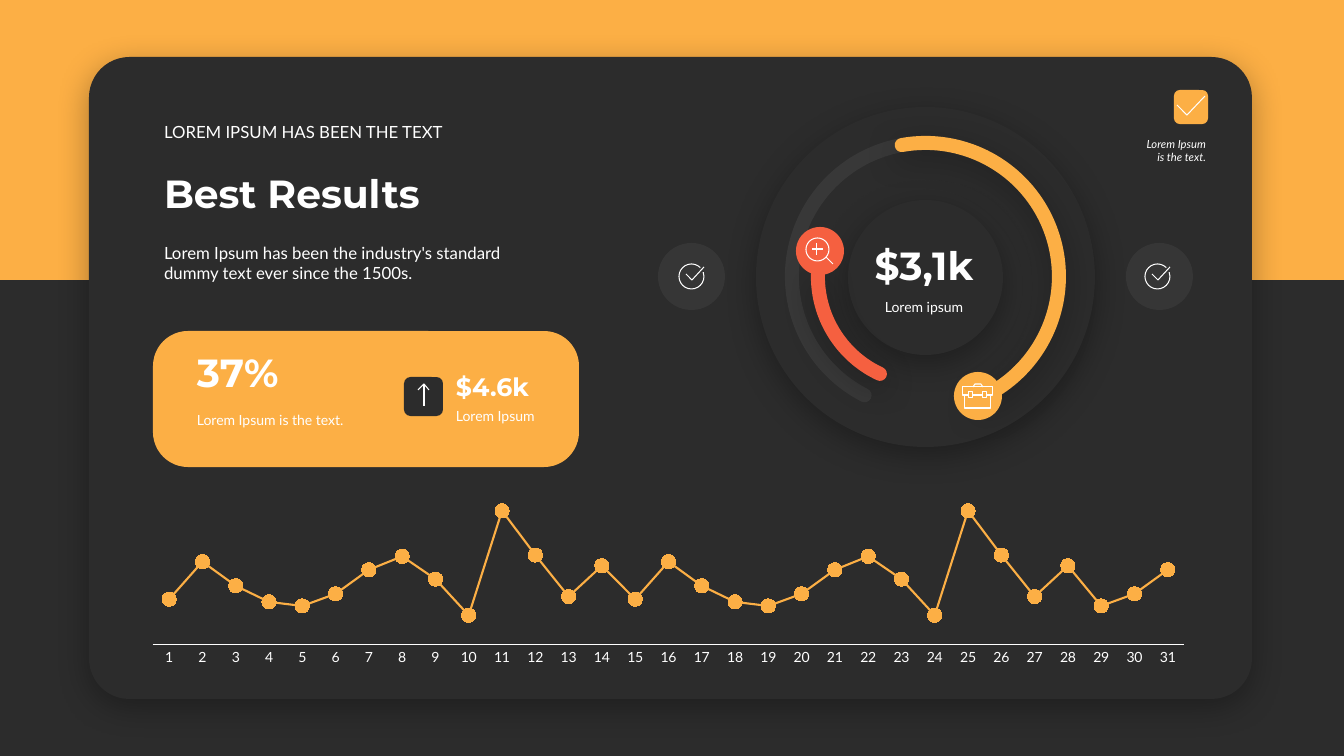
from lxml.etree import SubElement
from pptx import Presentation
from pptx.chart.data import CategoryChartData
from pptx.dml.color import RGBColor
from pptx.enum.chart import XL_CHART_TYPE, XL_MARKER_STYLE, XL_TICK_LABEL_POSITION, XL_TICK_MARK
from pptx.enum.shapes import MSO_SHAPE
from pptx.enum.text import MSO_ANCHOR, MSO_AUTO_SIZE, PP_ALIGN
from pptx.oxml.ns import qn
from pptx.util import Pt

PX = 12192000 / 1344
DARK, AMBER, CORAL, WHITE = "2C2C2C", "FCAF45", "F56040", "FFFFFF"
FAINT = 5


def emu(*lengths):
    return [round(length * PX) for length in lengths]


def paint(part, color, opacity=100):
    part.solid()
    part.fore_color.rgb = RGBColor.from_string(color)
    if opacity < 100:
        clr = part._xPr.find(qn("a:solidFill"))[0]
        SubElement(clr, qn("a:alpha")).set("val", str(opacity * 1000))


deck = Presentation()
deck.slide_width, deck.slide_height = emu(1344, 756)
page = deck.slides.add_slide(deck.slide_layouts[5])
paint(page.background.fill, DARK)

RECT, ROUND, OVAL, ARC = MSO_SHAPE.RECTANGLE, MSO_SHAPE.ROUNDED_RECTANGLE, MSO_SHAPE.OVAL, MSO_SHAPE.ARC
shapes = [
    (RECT, (0, 0, 1344, 280), AMBER, 100, [], False),
    (ROUND, (89, 57, 1163, 642), DARK, 100, [0.063], True),
    (OVAL, (756, 107, 339, 340), DARK, 100, [], True),
    (ARC, (792, 143, 267, 267), WHITE, FAINT, [70.27, 39.65], False),
    (OVAL, (848, 200, 155, 155), DARK, 100, [], True),
    (ARC, (792, 143, 267, 267), AMBER, 100, [155.86, 39.41], True),
    (OVAL, (1126, 243, 67, 67), WHITE, FAINT, [], False),
    (OVAL, (658, 243, 67, 67), WHITE, FAINT, [], False),
    (OVAL, (954, 372, 48, 48), AMBER, 100, [], False),
    (ROUND, (1174, 90, 34, 34), AMBER, 100, [], False),
    (ARC, (818, 169, 215, 215), CORAL, 100, [69.02, 108.79], True),
    (OVAL, (796, 227, 48, 48), CORAL, 100, [], False),
    (ROUND, (153, 331, 426, 136), AMBER, 100, [0.257], False),
    (ROUND, (404, 377, 39, 39), DARK, 100, [], False),
]
for kind, place, color, opacity, adjustments, shaded in shapes:
    shape = page.shapes.add_shape(kind, *emu(*place))
    for index, value in enumerate(adjustments):
        shape.adjustments[index] = value
    if kind == ARC:
        shape.fill.background()
        shape.line.width = Pt(10)
        paint(shape.line.fill, color, opacity)
        shape._element.spPr.find(qn("a:ln")).set("cap", "rnd")
    else:
        paint(shape.fill, color, opacity)
        shape.line.fill.background()
    shape.shadow.inherit = False
    if shaded:
        effects = shape._element.spPr.find(qn("a:effectLst"))
        shadow = SubElement(effects, qn("a:outerShdw"), blurRad=str(Pt(23)), dist=str(Pt(6)),
                            dir="5400000", algn="t", rotWithShape="0")
        shadow_color = SubElement(shadow, qn("a:srgbClr"), val="000000")
        SubElement(shadow_color, qn("a:alpha"), val="30000")

rings = [(ARC, (679, 264, 25, 25)), (ARC, (1145, 264, 25, 25)), (OVAL, (806, 238, 23, 23))]
for kind, place in rings:
    ring = page.shapes.add_shape(kind, *emu(*place))
    if kind == ARC:
        ring.adjustments[0], ring.adjustments[1] = 204, 189
    ring.fill.background()
    paint(ring.line.fill, WHITE)
    ring.line.width = Pt(0.75)
    ring.shadow.inherit = False

icons = [
    [[(686, 274), (692, 280), (704, 267)]],
    [[(1152, 274), (1158, 280), (1170, 267)]],
    [[(1177, 105), (1187, 115), (1205, 96)]],
    [[(418, 390), (424, 384), (429, 390)], [(424, 384), (424, 406)]],
    [[(812, 249), (823, 249)], [(817, 243), (817, 255)], [(826, 257), (833, 264)]],
    [
        [(969, 395), (963, 395), (963, 387), (993, 387), (993, 395), (987, 395)],
        [(973, 395), (983, 395)],
        [(965, 395), (965, 408), (991, 408), (991, 395)],
        [(973, 387), (975, 384), (981, 384), (983, 387)],
        [(969, 392), (973, 392), (973, 398), (969, 398), (969, 392)],
        [(983, 392), (987, 392), (987, 398), (983, 398), (983, 392)],
    ],
]
for strokes in icons:
    builder = page.shapes.build_freeform(*strokes[0][0], scale=PX)
    for number, stroke in enumerate(strokes):
        if number:
            builder.move_to(*stroke[0])
        builder.add_line_segments(stroke[1:], close=False)
    icon = builder.convert_to_shape()
    icon.fill.background()
    paint(icon.line.fill, WHITE)
    icon.line.width = Pt(0.75)
    icon.shadow.inherit = False

TOP, BOTTOM = MSO_ANCHOR.TOP, MSO_ANCHOR.BOTTOM
LEFT, CENTER, RIGHT = PP_ALIGN.LEFT, PP_ALIGN.CENTER, PP_ALIGN.RIGHT
TITLE = "Best Results"
texts = [
    ("LOREM IPSUM HAS BEEN THE TEXT", (154, 117, 371, 30), 12, "Lato", BOTTOM, LEFT, 10),
    (TITLE, (154, 163, 371, 58), 28, "Montserrat", BOTTOM, LEFT, 10),
    ("Lorem Ipsum has been the industry's standard dummy text ever since the 1500s.",
     (154, 238, 371, 51), 12, "Lato", TOP, LEFT, 10),
    ("$3,1k", (842, 235, 164, 58), 28, "Montserrat", BOTTOM, CENTER, 8),
    ("Lorem ipsum", (842, 294, 164, 27), 10, "Lato", TOP, CENTER, 10),
    ("Lorem Ipsum is the text.", (1133, 132, 83, 37), 8, "Lato", TOP, RIGHT, 10),
    ("37%", (187, 342, 190, 58), 28, "Montserrat", BOTTOM, LEFT, 10),
    ("Lorem Ipsum is the text.", (187, 407, 185, 27), 10, "Lato", TOP, LEFT, 10),
    ("$4.6k", (456, 367, 105, 40), 18, "Montserrat", BOTTOM, LEFT, 0),
    ("Lorem Ipsum", (456, 403, 105, 27), 10, "Lato", TOP, LEFT, 0),
]
for words, place, size, font, anchor, align, inset in texts:
    if words == TITLE:
        box = page.shapes.title
        page.shapes._spTree.append(box._element)
        box.left, box.top, box.width, box.height = emu(*place)
    else:
        box = page.shapes.add_textbox(*emu(*place))
    frame = box.text_frame
    frame.word_wrap = True
    frame.auto_size = MSO_AUTO_SIZE.SHAPE_TO_FIT_TEXT
    frame.vertical_anchor = anchor
    frame.margin_left, frame.margin_right, frame.margin_top, frame.margin_bottom = emu(inset, inset, 5, 5)
    para = frame.paragraphs[0]
    para.alignment = align
    span = para.add_run()
    span.text = words
    span.font.size = Pt(size)
    span.font.name = font
    span.font.bold = font == "Montserrat"
    span.font.italic = align == RIGHT
    paint(span.font.fill, WHITE)

data = CategoryChartData()
data.categories = [str(day) for day in range(1, 32)]
data.add_series("Series 1", [
    34, 62, 44, 32, 29, 38, 56, 66, 49, 22, 100, 67, 36, 59, 34, 62,
    44, 32, 29, 38, 56, 66, 49, 22, 100, 67, 36, 59, 29, 38, 56])
chart = page.shapes.add_chart(XL_CHART_TYPE.LINE_MARKERS_STACKED, *emu(131, 484, 1075, 185), data).chart
chart.has_legend = False
chart.has_title = False
chart.font.name = "Lato"
chart.font.size = Pt(10)
paint(chart.font.fill, WHITE)
chart.plots[0].vary_by_categories = False

days = chart.category_axis
days.major_tick_mark = days.minor_tick_mark = XL_TICK_MARK.NONE
days.tick_label_position = XL_TICK_LABEL_POSITION.NEXT_TO_AXIS
days.has_major_gridlines = False
paint(days.format.line.fill, WHITE)
days.format.line.width = Pt(0.75)
values = chart.value_axis
values.visible = False
values.has_major_gridlines = False
values.minimum_scale, values.maximum_scale = 0, 120

series = chart.plots[0].series[0]
series.smooth = False
paint(series.format.line.fill, AMBER)
series.format.line.width = Pt(1.5)
series.marker.style = XL_MARKER_STYLE.CIRCLE
series.marker.size = 10
paint(series.marker.format.fill, AMBER)
paint(series.marker.format.line.fill, AMBER)

plot_area = chart._chartSpace.chart.plotArea
for layout in plot_area.findall(qn("c:layout")):
    plot_area.remove(layout)
layout = SubElement(plot_area, qn("c:layout"))
plot_area.insert(0, layout)
manual = SubElement(layout, qn("c:manualLayout"))
for tag, value in [("layoutTarget", "inner"), ("xMode", "edge"), ("yMode", "edge"),
                   ("x", "0.02"), ("y", "0"), ("w", "0.96"), ("h", "0.87")]:
    SubElement(manual, qn("c:" + tag)).set("val", value)

deck.save("out.pptx")
